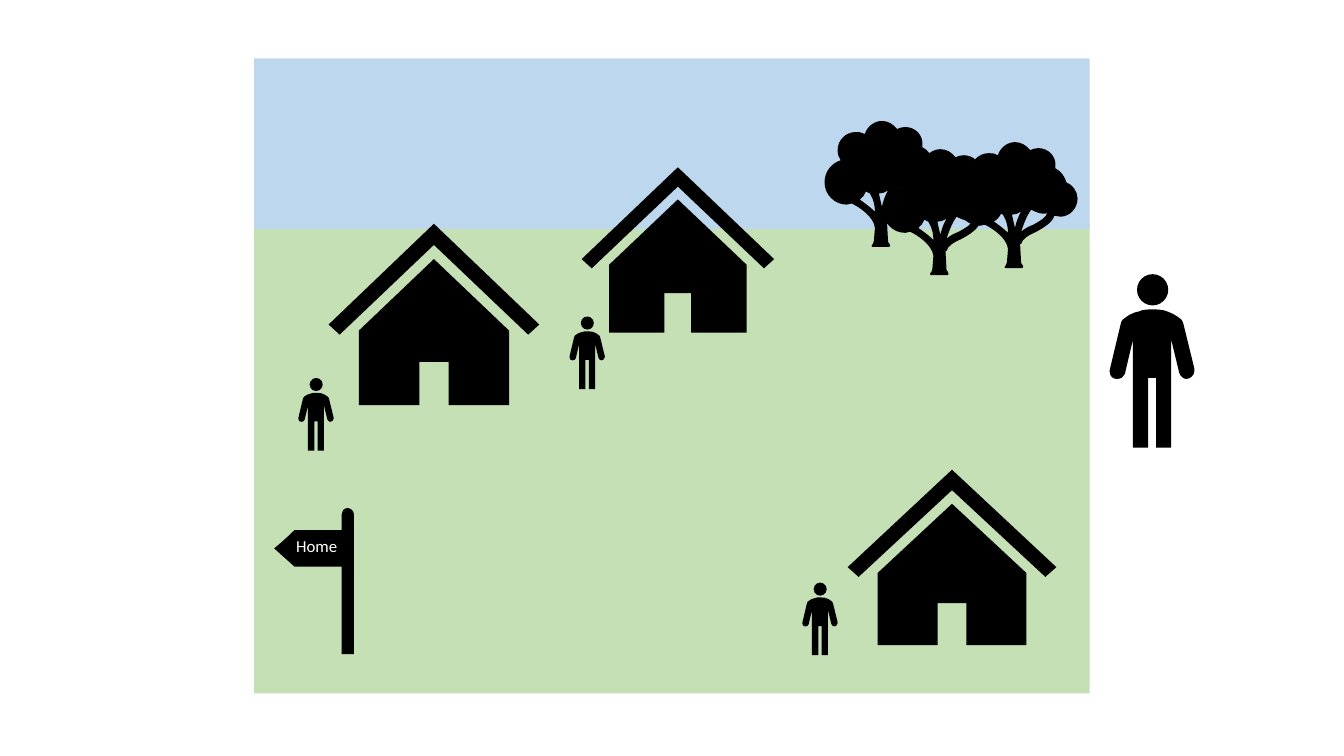
from dataclasses import dataclass

from pptx import Presentation
from pptx.dml.color import RGBColor
from pptx.enum.shapes import MSO_SHAPE as Preset
from pptx.enum.text import MSO_AUTO_SIZE as AutoSize
from pptx.oxml.ns import qn
from pptx.util import Pt


@dataclass(frozen=True)
class Theme:
    grass: str = "C5E0B4"
    sky: str = "BDD7EE"
    icon: str = "000000"
    sign_text: str = "FFFFFF"
    font: str = "Calibri"
    sign_size: float = 12


@dataclass(frozen=True)
class Frame:
    """A box in points onto which the grid of an icon is stretched."""
    left: float
    top: float
    width: float
    height: float
    grid: tuple

    def place(self, x, y):
        columns, rows = self.grid
        return (Pt(self.left + x * self.width / columns),
                Pt(self.top + y * self.height / rows))

    def box(self, x, y, width, height):
        left, top = self.place(x, y)
        right, bottom = self.place(x + width, y + height)
        return left.pt, top.pt, (right - left) / Pt(1), (bottom - top) / Pt(1)


# Contours: a pair is a corner, six numbers are a Bézier curve.
TREE_GRID = (119, 125)
TREE = [
    [(108, 40), (106, 34, 103, 29, 97, 26), (97, 25, 97, 25, 97, 24),
     (98, 14, 90, 6, 80, 6), (77, 6, 74, 7, 72, 8), (68, 3, 63, 0, 57, 0),
     (49, 0, 42, 6, 40, 13), (37, 11, 34, 11, 31, 11), (21, 11, 13, 19, 13, 29),
     (13, 33, 14, 36, 16, 39), (7, 42, 0, 50, 0, 61), (0, 73, 10, 83, 22, 83),
     (24, 83, 25, 82, 27, 82), (34, 85, 49, 95, 50, 106), (49, 119),
     (49, 120, 49, 121, 48, 122), (47, 123), (46, 124, 47, 125, 48, 125),
     (64, 125), (65, 125, 65, 124, 65, 123), (65, 123, 64, 122, 64, 121),
     (63, 121, 63, 120, 63, 119), (62, 101), (62, 101, 63, 101, 63, 101),
     (64, 96, 71, 92, 78, 89), (85, 85, 94, 80, 96, 73),
     (98, 73, 100, 74, 102, 74), (111, 74, 119, 66, 119, 56),
     (119, 49, 114, 42, 108, 40)],
    [(57, 85), (56, 81, 55, 77, 54, 72), (57, 72, 60, 71, 63, 69),
     (60, 74, 58, 80, 57, 85)],
    [(35, 78), (38, 76, 40, 73, 41, 70), (43, 71, 44, 71, 45, 72),
     (49, 78, 50, 85, 50, 90), (45, 85, 39, 81, 35, 78)],
    [(75, 82), (70, 84, 66, 86, 63, 89), (65, 83, 68, 74, 73, 67),
     (77, 69, 81, 71, 85, 71), (87, 71, 88, 71, 89, 70),
     (88, 75, 82, 78, 75, 82)],
]

HOUSE_GRID = (209, 180)
ROOF = [[(104.5, 0), (0, 100), (11, 110), (104.5, 21), (198, 110), (209, 100)]]
WALLS = [[(30, 106), (30, 180), (90, 180), (90, 118), (119, 118), (119, 180),
          (179, 180), (179, 106), (104.5, 35)]]
LINTEL = (71, 94, 67, 43)

PERSON_GRID = (84, 172)
HEAD = (27, 0, 31, 31)
BODY = [[
    (84, 94), (73, 49), (72, 47, 72, 46, 71, 45), (66, 41, 61, 38, 54, 36),
    (50, 35, 46, 35, 42, 35), (38, 35, 33, 35, 29, 37),
    (23, 38, 18, 41, 13, 45), (12, 46, 11, 48, 11, 49), (0, 95),
    (0, 95, 0, 96, 0, 97), (0, 101, 3, 104, 7, 104),
    (11, 104, 14, 102, 15, 99), (23, 65), (23, 172), (38, 172), (38, 103),
    (46, 103), (46, 172), (61, 172), (61, 65), (69, 98),
    (70, 101, 73, 104, 76, 104), (80, 104, 84, 100, 84, 96),
    (84, 95, 84, 95, 84, 94)]]

SIGN_GRID = (79, 145)
SIGNPOST = [[
    (73, 0), (76, 0, 79, 3, 79, 6), (79, 145), (67, 145), (67, 58), (20, 58),
    (0, 40), (0, 40, 10, 32, 20, 22), (67, 22), (67, 6), (67, 3, 69, 0, 73, 0)]]


def write(text_frame, text, *, font, size, color):
    paragraph = text_frame.paragraphs[0]
    paragraph.text = text
    paragraph.font.name = font
    paragraph.font.size = Pt(size)
    paragraph.font.color.rgb = RGBColor.from_string(color)


def bend(shape, contours):
    """Turn the three line segments drawn for each curve into one Bézier."""
    segments = iter(shape.element.findall(".//" + qn("a:lnTo")))
    for contour in contours:
        for step in contour[1:]:
            curve = next(segments)
            if len(step) == 6:
                curve.tag = qn("a:cubicBezTo")
                for segment in (next(segments), next(segments)):
                    curve.append(segment[0])
                    segment.getparent().remove(segment)


class Scene:
    def __init__(self, slide, theme):
        self.slide = slide
        self.theme = theme

    def group(self):
        return self.slide.shapes.add_group_shape().shapes

    def paint(self, shape, color):
        shape.shadow.inherit = False
        shape.fill.solid()
        shape.fill.fore_color.rgb = RGBColor.from_string(color)
        shape.line.fill.background()

    def preset(self, shapes, kind, box, color):
        self.paint(shapes.add_shape(kind, *map(Pt, box)), color)

    def outline(self, shapes, frame, contours):
        builder = None
        for contour in contours:
            start, *points = [frame.place(*step[i:i + 2])
                              for step in contour for i in range(0, len(step), 2)]
            if builder is None:
                builder = shapes.build_freeform(*start)
            else:
                builder.move_to(*start)
            builder.add_line_segments(points, close=True)
        shape = builder.convert_to_shape()
        bend(shape, contours)
        self.paint(shape, self.theme.icon)

    def tree(self, left, top):
        frame = Frame(left, top, 85.68, 90, TREE_GRID)
        self.outline(self.slide.shapes, frame, TREE)

    def house(self, *box):
        frame = Frame(*box, HOUSE_GRID)
        shapes = self.group()
        self.outline(shapes, frame, ROOF)
        self.outline(shapes, frame, WALLS)
        self.preset(shapes, Preset.RECTANGLE, frame.box(*LINTEL), self.theme.icon)

    def person(self, left, top, width=25.2, height=51.84):
        frame = Frame(left, top, width, height, PERSON_GRID)
        shapes = self.group()
        self.preset(shapes, Preset.OVAL, frame.box(*HEAD), self.theme.icon)
        self.outline(shapes, frame, BODY)

    def signpost(self, text, left, top):
        shapes = self.group()
        self.outline(shapes, Frame(left, top, 56.88, 104.4, SIGN_GRID), SIGNPOST)
        label = shapes.add_textbox(Pt(left + 8.64), Pt(top + 16.56), Pt(46.8), Pt(21.6))
        label.text_frame.word_wrap = True
        label.text_frame.auto_size = AutoSize.SHAPE_TO_FIT_TEXT
        write(label.text_frame, text, font=self.theme.font,
              size=self.theme.sign_size, color=self.theme.sign_text)


def main():
    presentation = Presentation()
    presentation.slide_width, presentation.slide_height = Pt(960), Pt(540)
    slide = presentation.slides.add_slide(presentation.slide_layouts[6])
    theme = Theme()
    scene = Scene(slide, theme)

    for color, top, height in ((theme.grass, 159.84, 335.52), (theme.sky, 41.76, 121.68)):
        scene.preset(slide.shapes, Preset.RECTANGLE, (181.44, top, 596.88, height), color)
    for corner in ((588.96, 86.4), (684, 101.52), (630.72, 106.56)):
        scene.tree(*corner)
    for box in ((605.52, 335.52, 149.04, 125.28), (415.44, 119.52, 137.52, 118.08),
                (234.72, 159.84, 150.48, 129.6)):
        scene.house(*box)
    scene.signpost("Home", 195.84, 362.88)
    for corner in ((406.8, 226.08), (213.12, 270), (573.12, 416.16)):
        scene.person(*corner)
    scene.person(792.72, 195.84, 60.48, 123.84)

    presentation.save("out.pptx")


if __name__ == "__main__":
    main()
